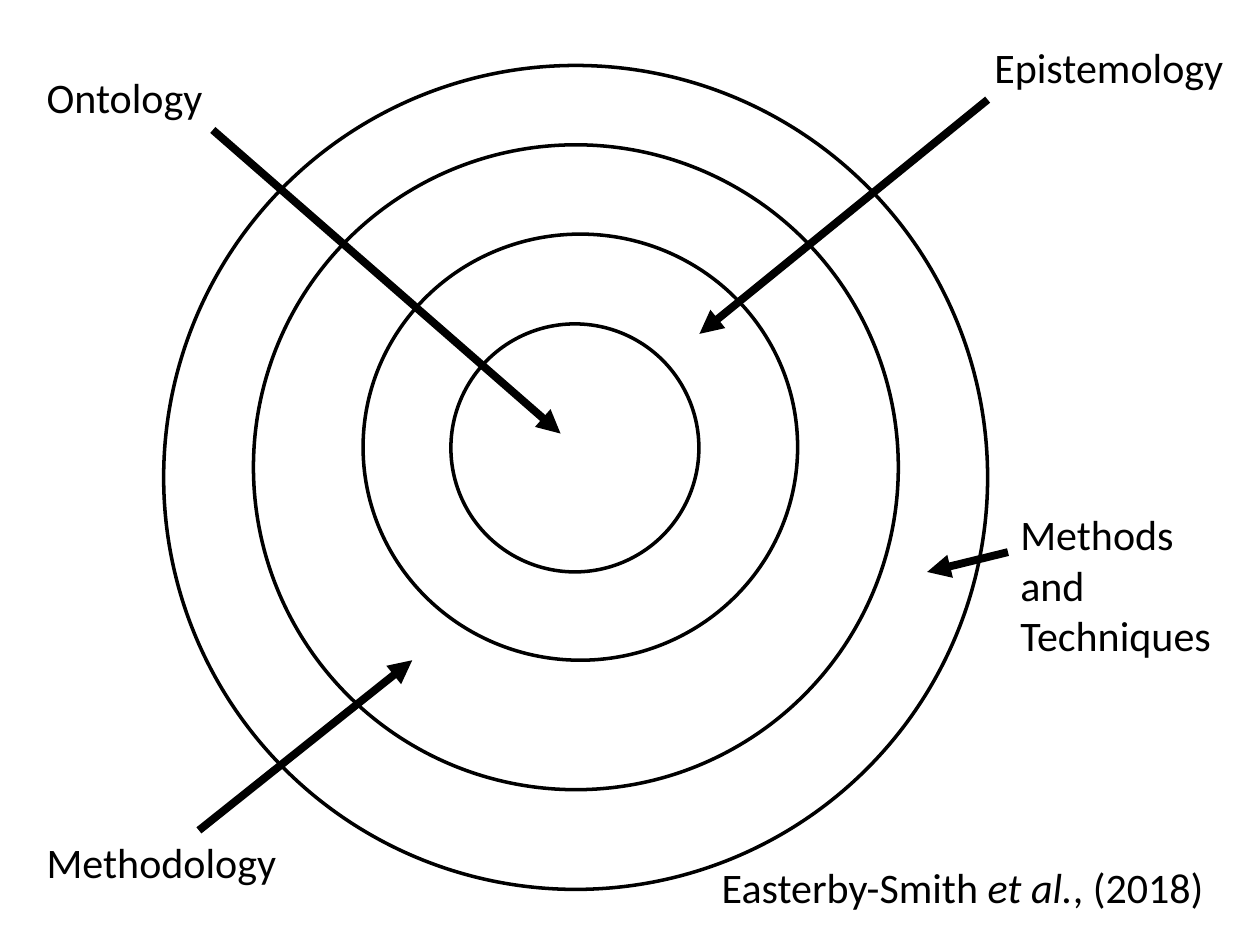
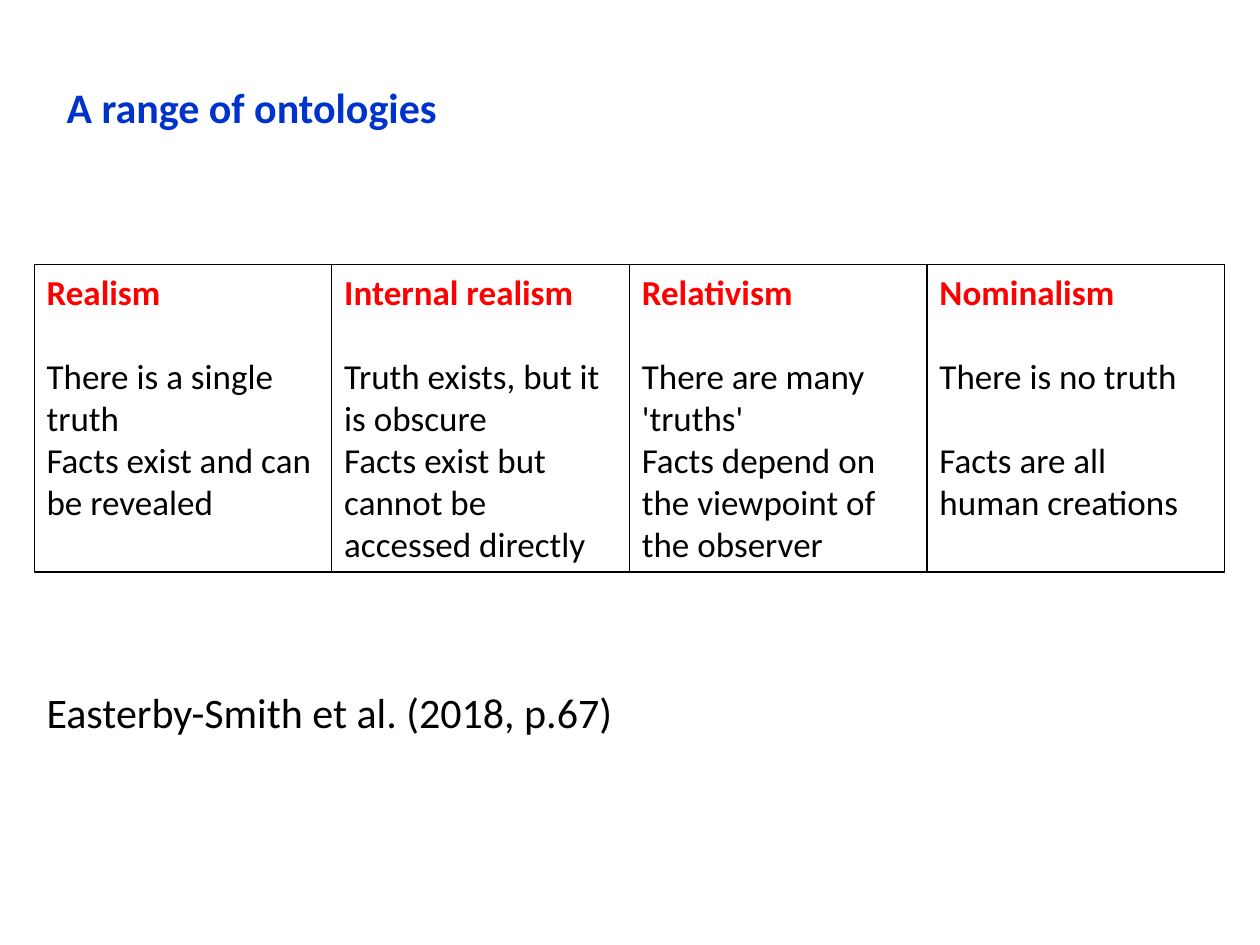
from lxml import etree
from pptx import Presentation
from pptx.dml.color import RGBColor
from pptx.enum import shapes, text
from pptx.oxml.ns import qn
from pptx.util import Cm, Pt

BLACK = RGBColor(0, 0, 0)
RED = RGBColor(255, 0, 0)
BLUE = RGBColor(0, 0x33, 0xCC)
FONT = "Calibri"
LEFT, RIGHT = text.PP_ALIGN.LEFT, text.PP_ALIGN.RIGHT
EDGE = 0.69  # left margin, cm
LINE = 1.27  # height of a one-line box, cm

# Content: rings are left, top, width, height in cm
RINGS = [
    (9.09, 6.53, 5, 5),
    (7.32, 4.72, 8.76, 8.59),
    (5.11, 2.92, 13, 13),
    (3.3, 1.32, 16.61, 16.61),
]
# Label, box, alignment, arrow start, arrow end
LABELS = [
    ("Ontology", (EDGE, 1.32, 5.79, LINE), LEFT, (4.29, 2.62), (11.3, 8.74)),
    ("Epistemology", (16.1, 0.71, 8.81, LINE), RIGHT, (19.91, 2.01), (14.1, 6.73)),
    ("Methodology", (EDGE, 16.74, 6.63, LINE), LEFT, (4.01, 16.74), (8.31, 13.31)),
    ("Methods and Techniques", (20.32, 10.13, 4.57, 3.3), LEFT,
     (20.32, 11.13), (18.69, 11.53)),
]
SOURCE = [("Easterby-Smith ", False), ("et al.", True), (", (2018)", False)]

TITLE = "A range of ontologies"
# Name, view of truth, view of facts, gap before the facts in points
VIEWS = [
    ("Realism", "There is a single truth", "Facts exist and can be revealed", 0),
    ("Internal realism", "Truth exists, but it is obscure",
     "Facts exist but cannot be accessed directly", 0),
    ("Relativism", "There are many 'truths'",
     "Facts depend on the viewpoint of the observer", 0),
    ("Nominalism", "There is no truth", "Facts are all human creations", 24),
]
CITE = "Easterby-Smith et al. (2018, p.67)"


def style(part, size=24, color=BLACK, bold=False):
    font = part.font
    font.name, font.size, font.bold = FONT, Pt(size), bold
    font.color.rgb = color


def frame(shape):
    tf = shape.text_frame
    tf.word_wrap = True
    tf.auto_size = text.MSO_AUTO_SIZE.NONE
    tf.vertical_anchor = text.MSO_ANCHOR.TOP
    return tf


def label(slide, box, words, align=LEFT):
    """Add a text box made of (words, italic) runs."""
    para = frame(slide.shapes.add_textbox(*map(Cm, box))).paragraphs[0]
    para.alignment = align
    for part, slant in words:
        run = para.add_run()
        run.text = part
        style(run)
        run.font.italic = slant


def outline(slide, kind, box, width):
    shape = slide.shapes.add_shape(kind, *map(Cm, box))
    shape.shadow.inherit = False
    shape.fill.background()
    shape.line.color.rgb = BLACK
    shape.line.width = Pt(width)
    return shape


def arrow(slide, start, end):
    line = slide.shapes.add_connector(
        shapes.MSO_CONNECTOR.STRAIGHT, *map(Cm, start + end))
    line.line.color.rgb = BLACK
    line.line.width = Pt(4.5)
    etree.SubElement(line.line._get_or_add_ln(), qn("a:tailEnd"), type="triangle")
    etree.SubElement(line._element.spPr, qn("a:effectLst"))


def rings(deck):
    slide = deck.slides.add_slide(deck.slide_layouts[6])
    for box in RINGS:
        outline(slide, shapes.MSO_SHAPE.OVAL, box, 2)
    label(slide, (14.3, 17.25, 11.1, LINE), SOURCE)
    for name, box, align, start, end in LABELS:
        label(slide, box, [(name, False)], align)
        arrow(slide, start, end)


def views(deck):
    slide = deck.slides.add_slide(deck.slide_layouts[5])
    # Title
    title = slide.shapes.title
    title.left, title.top, title.width, title.height = map(
        Cm, (1.09, 1.52, 21.21, LINE))
    head = frame(title).paragraphs[0]
    head.text, head.alignment = TITLE, LEFT
    style(head.runs[0], color=BLUE, bold=True)

    # Row of equal boxes
    wide = 6
    for i, (name, truth, facts, gap) in enumerate(VIEWS):
        box = (EDGE + i * wide, 5.33, wide, 6.2)
        tf = frame(outline(slide, shapes.MSO_SHAPE.RECTANGLE, box, 0.75))
        tf.text = "\n".join((name, truth, facts))
        for para, space in zip(tf.paragraphs, (0, 24, gap)):
            para.alignment, para.space_before = LEFT, Pt(space)
            style(para.runs[0], 20)
        style(tf.paragraphs[0].runs[0], 20, RED, True)

    label(slide, (EDGE, 13.72, 22.6, LINE), [(CITE, False)])


def main():
    deck = Presentation()
    deck.slide_width, deck.slide_height = Cm(25.4), Cm(19.05)
    rings(deck)
    views(deck)
    deck.save("out.pptx")


if __name__ == "__main__":
    main()
